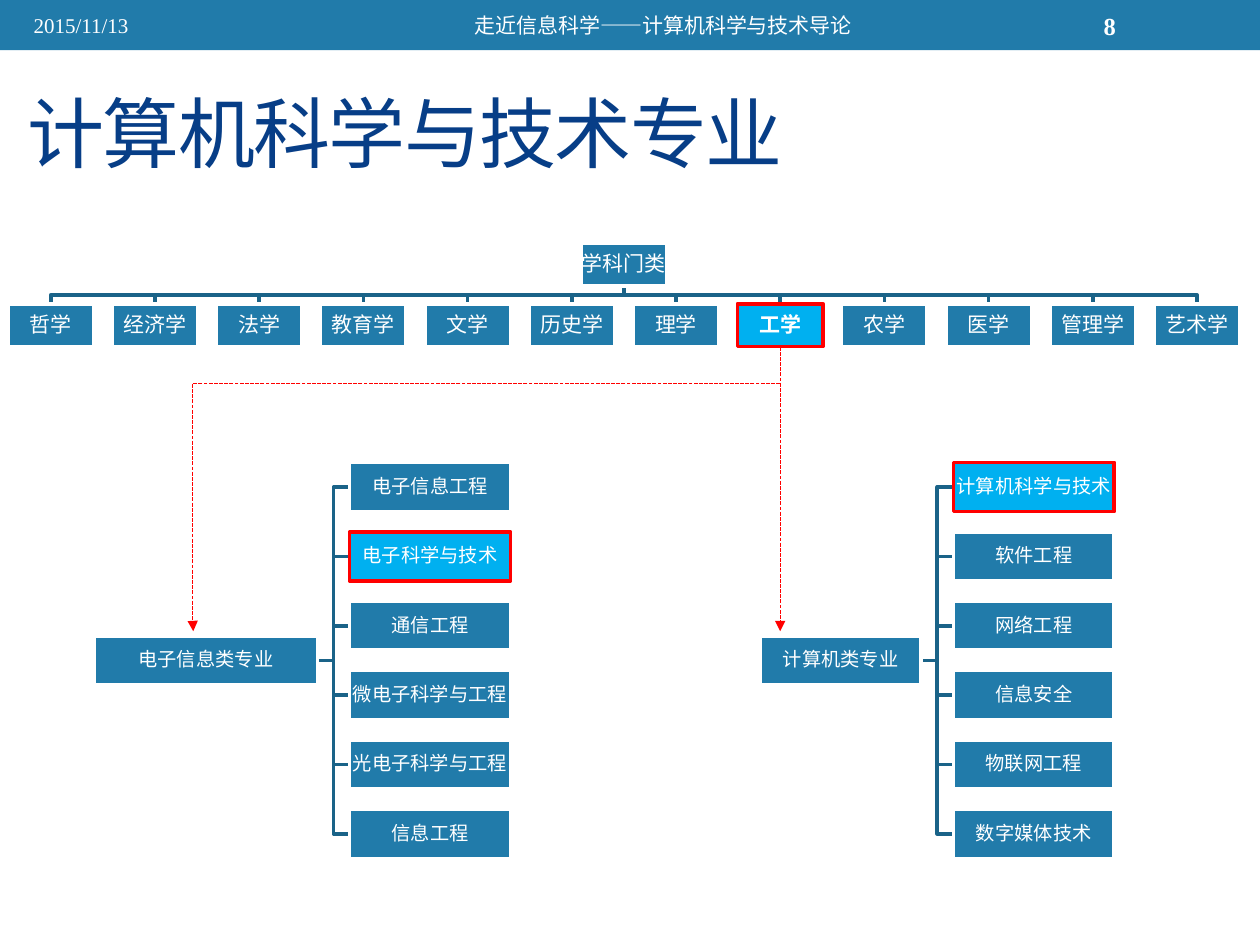
import pptx
import pptx.dml.color
import pptx.enum.dml
import pptx.enum.shapes
import pptx.enum.text
import pptx.oxml.ns
import pptx.util
from lxml import etree

Pt = pptx.util.Pt
BLUE, LINK_BLUE, CYAN = "217BAA", "1A6388", "00B0F0"
TITLE_BLUE, WHITE, RED = "073E87", "FFFFFF", "FF0000"
CJK_FONT = "Noto Sans CJK SC"
LINE_WIDTH = 2.08

DISCIPLINES = ["哲学", "经济学", "法学", "教育学", "文学", "历史学",
               "理学", "工学", "农学", "医学", "管理学", "艺术学"]
ELECTRONIC_MAJORS = ["电子信息工程", "电子科学与技术", "通信工程",
                     "微电子科学与工程", "光电子科学与工程", "信息工程"]
COMPUTER_MAJORS = ["计算机科学与技术", "软件工程", "网络工程",
                   "信息安全", "物联网工程", "数字媒体技术"]


def rgb(color):
    return pptx.dml.color.RGBColor.from_string(color)


def add_xml(parent, tag, **attributes):
    element = etree.SubElement(parent, pptx.oxml.ns.qn(tag))
    for name, value in attributes.items():
        element.set(name, value)
    return element


def set_text(shape, text, size, font_name, color=WHITE, bold=False, centered=False):
    frame = shape.text_frame
    frame.text = text
    frame.vertical_anchor = pptx.enum.text.MSO_ANCHOR.MIDDLE
    paragraph = frame.paragraphs[0]
    alignment = pptx.enum.text.PP_ALIGN
    paragraph.alignment = alignment.CENTER if centered else alignment.LEFT
    run = paragraph.runs[0]
    run.font.size = Pt(size)
    run.font.name = font_name
    run.font.bold = bold
    run.font.color.rgb = rgb(color)
    if font_name == CJK_FONT:
        add_xml(run._r.get_or_add_rPr(), "a:ea", typeface=font_name)
    return run


def add_label(slide, left, top, width, height, text, size, font_name, **style):
    label = slide.shapes.add_textbox(Pt(left), Pt(top), Pt(width), Pt(height))
    label.text_frame.word_wrap = True
    return set_text(label, text, size, font_name, **style)


def add_rectangle(slide, left, top, width, height, fill):
    rectangle = slide.shapes.add_shape(
        pptx.enum.shapes.MSO_SHAPE.RECTANGLE,
        Pt(left), Pt(top), Pt(width), Pt(height))
    rectangle.shadow.inherit = False
    rectangle.fill.solid()
    rectangle.fill.fore_color.rgb = rgb(fill)
    rectangle.line.fill.background()
    return rectangle


def add_node(slide, left, top, width, height, text, size, highlighted=False, bold=False):
    node = add_rectangle(slide, left, top, width, height, CYAN if highlighted else BLUE)
    node.line.color.rgb = rgb(RED if highlighted else WHITE)
    node.line.width = Pt(LINE_WIDTH)
    frame = node.text_frame
    frame.margin_left = frame.margin_right = Pt(0.6)
    frame.margin_top = frame.margin_bottom = Pt(0.6)
    set_text(node, text, size, CJK_FONT, bold=bold, centered=True)
    frame.word_wrap = False
    frame.paragraphs[0].line_spacing = 0.9
    return node


def add_link(slide, points):
    start, *rest = [(Pt(x), Pt(y)) for x, y in points]
    builder = slide.shapes.build_freeform(*start)
    builder.add_line_segments(rest, close=False)
    link = builder.convert_to_shape()
    link.shadow.inherit = False
    link.fill.background()
    link.line.color.rgb = rgb(LINK_BLUE)
    link.line.width = Pt(LINE_WIDTH)


def add_arrow(slide, kind, start_x, start_y, end_x, end_y):
    arrow = slide.shapes.add_connector(kind, Pt(start_x), Pt(start_y), Pt(end_x), Pt(end_y))
    arrow.line.color.rgb = rgb(RED)
    arrow.line.width = Pt(0.75)
    arrow.line.dash_style = pptx.enum.dml.MSO_LINE.SQUARE_DOT
    add_xml(arrow.line._get_or_add_ln(), "a:tailEnd", type="triangle")
    add_xml(arrow._element.spPr, "a:effectLst")
    return arrow


def add_discipline_tree(slide):
    left, pitch, width, height = 4.5, 59.55, 49, 24.5
    root_top, row_top = 139, 173.6
    root_left = left + pitch * (len(DISCIPLINES) - 1) / 2
    root_x, root_bottom = root_left + width / 2, root_top + height
    middle = (root_bottom + row_top) / 2
    lefts = [left + pitch * index for index in range(len(DISCIPLINES))]
    for node_left in lefts:
        x = node_left + width / 2
        add_link(slide, [(root_x, root_bottom), (root_x, middle), (x, middle), (x, row_top)])
    add_node(slide, root_left, root_top, width, height, "学科门类", 12)
    nodes = {}
    for node_left, name in zip(lefts, DISCIPLINES):
        chosen = name == "工学"
        nodes[name] = add_node(slide, node_left, row_top, width, height, name, 12,
                               highlighted=chosen, bold=chosen)
    return nodes["工学"]


def add_major_tree(slide, root_left, root_width, root_name, majors, chosen):
    top, pitch, width, height, gap = 264.3, 39.65, 92, 28, 18.4
    root_right = root_left + root_width
    leaf_left, middle = root_right + gap, root_right + gap / 2
    root_top = top + pitch * (len(majors) - 1) / 2
    root_y = root_top + height / 2
    tops = [top + pitch * index for index in range(len(majors))]
    for leaf_top in tops:
        y = leaf_top + height / 2
        add_link(slide, [(root_right, root_y), (middle, root_y), (middle, y), (leaf_left, y)])
    add_node(slide, root_left, root_top, root_width, height, root_name, 11)
    for leaf_top, name in zip(tops, majors):
        add_node(slide, leaf_left, leaf_top, width, height, name, 11, highlighted=name == chosen)


def add_guides(slide, engineering):
    connector = pptx.enum.shapes.MSO_CONNECTOR
    x = (engineering.left + engineering.width / 2) / Pt(1)
    bottom = (engineering.top + engineering.height) / Pt(1)
    arrow_end = 360.7
    elbow = add_arrow(slide, connector.ELBOW, x, 219, 110.5, arrow_end)
    adjustments = elbow._element.spPr.find(pptx.oxml.ns.qn("a:prstGeom")).get_or_add_avLst()
    add_xml(adjustments, "a:gd", name="adj1", fmla="val 100100")
    straight = add_arrow(slide, connector.STRAIGHT, x, bottom, x, arrow_end)
    straight.begin_connect(engineering, 2)


def add_header(slide):
    add_rectangle(slide, 0, 0, 720, 28.6, BLUE)
    add_label(slide, 12.2, 1.5, 136, 26, "2015/11/13", 12, "Times New Roman")
    add_label(slide, 164, 1.5, 430, 26, "走近信息科学——计算机科学与技术导论", 12, "Arial",
              centered=True)
    add_label(slide, 623.5, 1.5, 84, 26, "8", 14, "Times New Roman", bold=True)
    title = add_label(slide, 8.6, 49, 644, 52, "计算机科学与技术专业", 44, "Arial",
                      color=TITLE_BLUE)
    title._r.get_or_add_rPr().set("spc", "-100")


def main():
    presentation = pptx.Presentation()
    presentation.slide_width, presentation.slide_height = Pt(720), Pt(540)
    slide = presentation.slides.add_slide(presentation.slide_layouts[6])
    add_header(slide)
    engineering = add_discipline_tree(slide)
    add_major_tree(slide, 434.4, 92, "计算机类专业", COMPUTER_MAJORS, "计算机科学与技术")
    add_major_tree(slide, 54, 127.4, "电子信息类专业", ELECTRONIC_MAJORS, "电子科学与技术")
    add_guides(slide, engineering)
    presentation.save("out.pptx")


if __name__ == "__main__":
    main()
